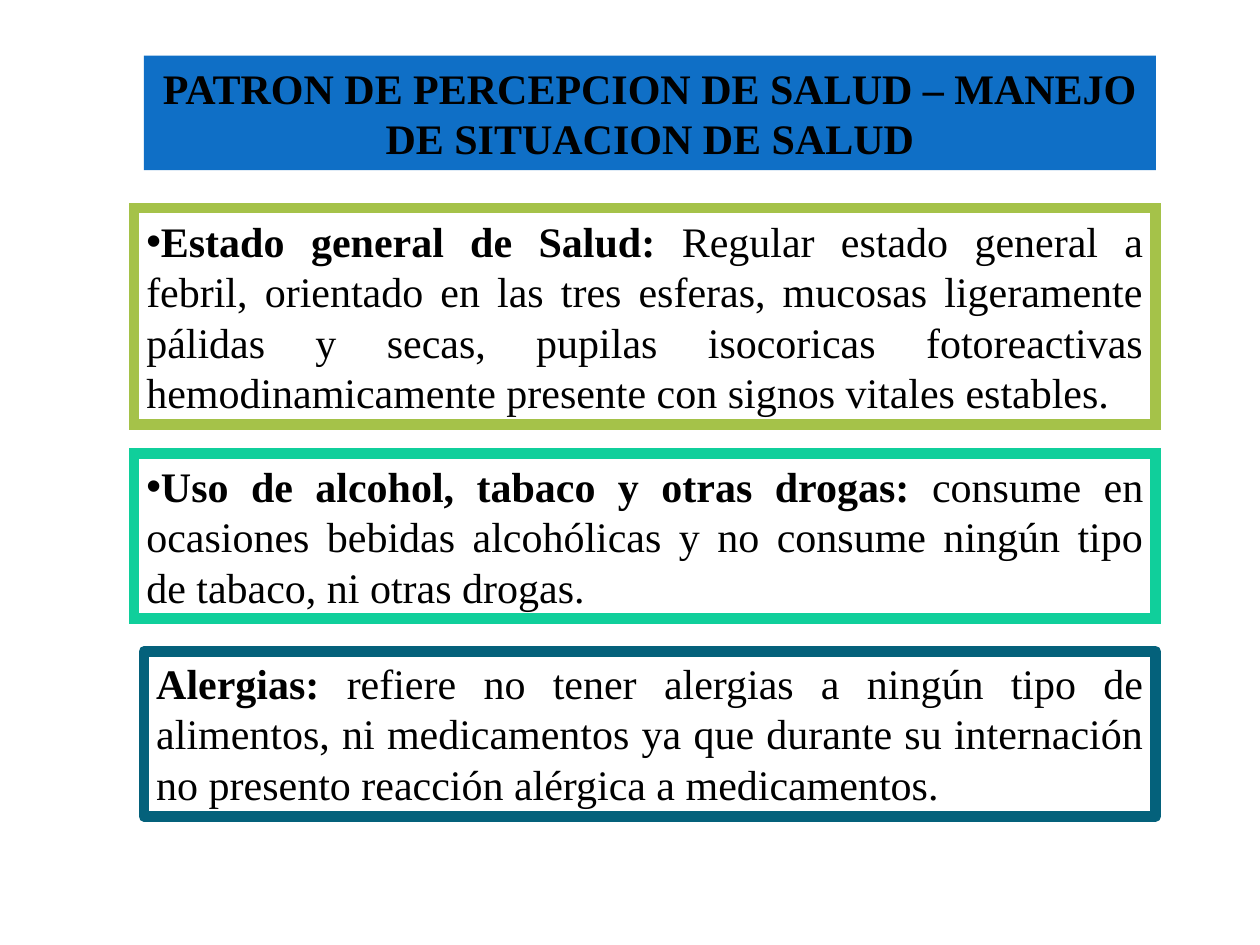
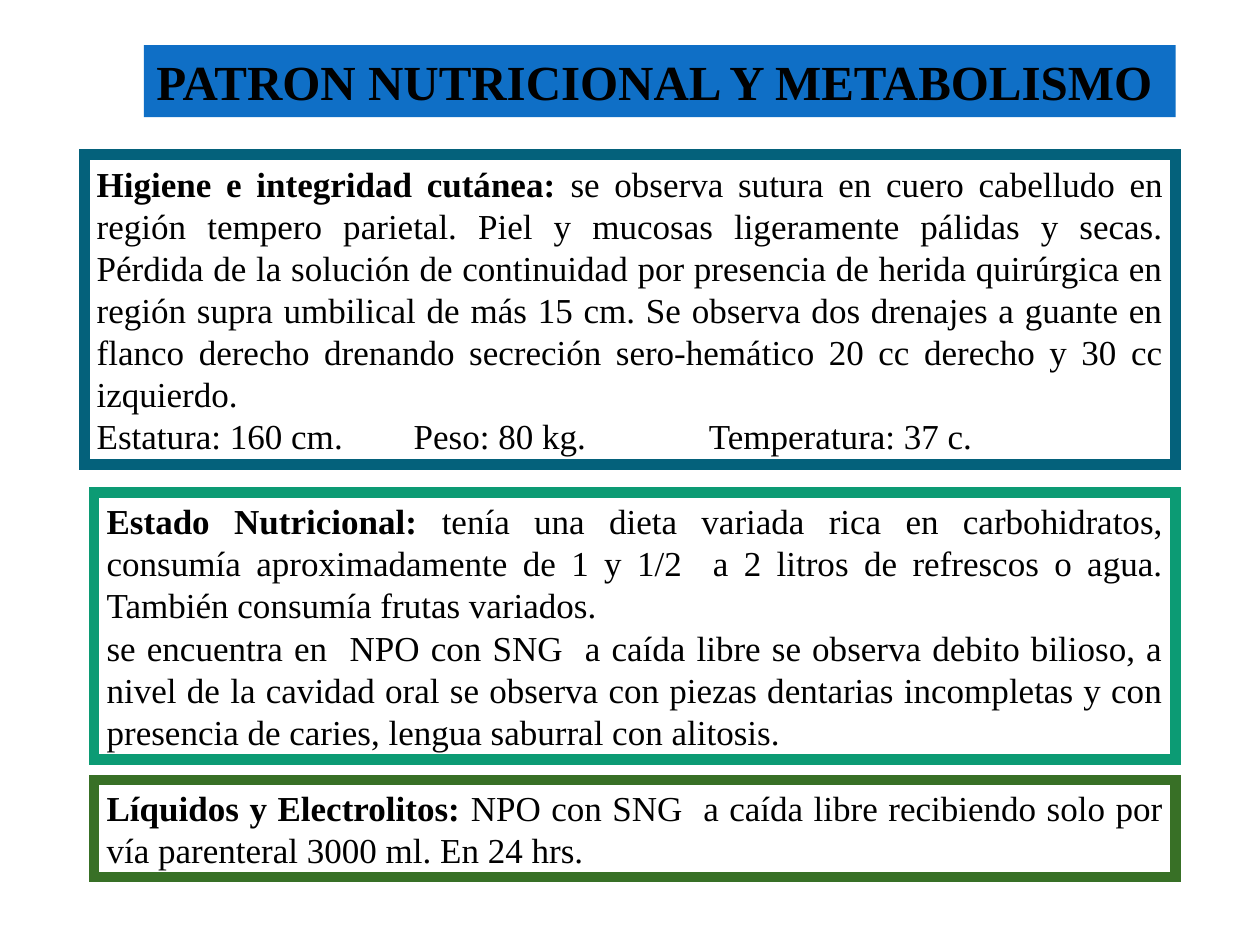
import pptx
import pptx.util
import pptx.dml.color
import pptx.enum.shapes
import pptx.enum.text
import pptx.oxml.ns
from lxml import etree

Cm = pptx.util.Cm
Pt = pptx.util.Pt
RGBColor = pptx.dml.color.RGBColor
ANCHOR = pptx.enum.text.MSO_ANCHOR
ALIGN = pptx.enum.text.PP_ALIGN

BLACK = RGBColor(0x00, 0x00, 0x00)
BLUE = RGBColor(0x0F, 0x6F, 0xC6)
LIME = RGBColor(0xA5, 0xC2, 0x49)
MINT = RGBColor(0x10, 0xCF, 0x9B)
PETROL = RGBColor(0x04, 0x61, 0x7B)
JADE = RGBColor(0x0C, 0x9B, 0x74)
FOREST = RGBColor(0x38, 0x70, 0x26)
FONT = "Times New Roman"
MEASURE_TABS = (6.39, 12.34)

patterns = [
    {
        "heading": "PATRON DE PERCEPCION DE SALUD – MANEJO DE SITUACION DE SALUD",
        "band": (2.9, 1.12, 20.4, 2.31), "heading_size": 24, "heading_align": ALIGN.CENTER,
        "right": 23.3, "size": 24,
        "findings": [
            (2.7, 4.19, 4.37, LIME, "•", "Estado general de Salud: ",
             ["Regular estado general a febril, orientado en las tres esferas, mucosas "
              "ligeramente pálidas y secas, pupilas isocoricas fotoreactivas "
              "hemodinamicamente presente con signos vitales estables."]),
            (2.7, 9.14, 3.33, MINT, "•", "Uso de alcohol, tabaco y otras drogas: ",
             ["consume en ocasiones bebidas alcohólicas y no consume ningún tipo de "
              "tabaco, ni otras drogas."]),
            (2.9, 13.13, 3.33, PETROL, "", "Alergias: ",
             ["refiere no tener alergias a ningún tipo de alimentos, ni medicamentos ya "
              "que durante su internación no presento reacción alérgica a medicamentos."]),
        ],
    },
    {
        "heading": "PATRON NUTRICIONAL Y METABOLISMO",
        "band": (2.9, 0.91, 20.8, 1.45), "heading_size": 28, "heading_align": ALIGN.LEFT,
        "right": 23.7, "size": 20,
        "findings": [
            (1.7, 3.12, 6.25, PETROL, "", "Higiene e integridad cutánea: ",
             ["se observa sutura en cuero cabelludo en región tempero parietal. Piel y "
              "mucosas ligeramente pálidas y secas. Pérdida de la solución de continuidad "
              "por presencia de herida quirúrgica en región supra umbilical de más 15 cm. "
              "Se observa dos drenajes a guante en flanco derecho drenando secreción "
              "sero-hemático 20 cc derecho y 30 cc izquierdo.",
              "Estatura: 160 cm.\tPeso: 80 kg.\tTemperatura: 37 c."]),
            (1.9, 9.93, 5.38, JADE, "", "Estado Nutricional: ",
             ["tenía una dieta variada rica en carbohidratos, consumía aproximadamente de "
              "1 y 1/2  a 2 litros de refrescos o agua. También consumía frutas variados.",
              "se encuentra en  NPO con SNG  a caída libre se observa debito bilioso, a "
              "nivel de la cavidad oral se observa con piezas dentarias incompletas y con "
              "presencia de caries, lengua saburral con alitosis."]),
            (1.9, 15.72, 1.96, FOREST, "", "Líquidos y Electrolitos: ",
             ["NPO con SNG  a caída libre recibiendo solo por vía parenteral 3000 ml. "
              "En 24 hrs."]),
        ],
    },
]


def add_element(parent, tag, **attributes):
    return etree.SubElement(parent, pptx.oxml.ns.qn(tag), attributes)


def style_paragraph(paragraph, size, align):
    paragraph.alignment = align
    paragraph.font.name = FONT
    paragraph.font.size = Pt(size)
    paragraph.font.color.rgb = BLACK


deck = pptx.Presentation()
deck.slide_width = Cm(25.4)
deck.slide_height = Cm(19.05)

for pattern in patterns:
    slide = deck.slides.add_slide(deck.slide_layouts[5])
    heading = slide.shapes.title
    heading.left, heading.top, heading.width, heading.height = map(Cm, pattern["band"])
    heading.fill.solid()
    heading.fill.fore_color.rgb = BLUE
    heading.text_frame.text = pattern["heading"]
    heading.text_frame.word_wrap = True
    heading.text_frame.auto_size = pptx.enum.text.MSO_AUTO_SIZE.NONE
    heading.text_frame.vertical_anchor = ANCHOR.MIDDLE
    heading_line = heading.text_frame.paragraphs[0]
    style_paragraph(heading_line, pattern["heading_size"], pattern["heading_align"])
    heading_line.font.bold = True

    for left, top, height, color, bullet, label, texts in pattern["findings"]:
        finding = slide.shapes.add_shape(
            pptx.enum.shapes.MSO_SHAPE.RECTANGLE,
            Cm(left), Cm(top), Cm(pattern["right"] - left), Cm(height))
        finding.shadow.inherit = False
        finding.fill.background()
        finding.line.color.rgb = color
        finding.line.width = Pt(6)
        corner = "a:round" if label == "Alergias: " else "a:miter"
        add_element(finding.line._get_or_add_ln(), corner)
        frame = finding.text_frame
        frame.word_wrap = True
        frame.vertical_anchor = ANCHOR.TOP if label == "Alergias: " else ANCHOR.MIDDLE

        for index, text in enumerate(texts):
            paragraph = frame.paragraphs[0] if index == 0 else frame.add_paragraph()
            properties = paragraph._p.get_or_add_pPr()
            if bullet:
                add_element(properties, "a:buFont", typeface="Arial")
                add_element(properties, "a:buChar", char=bullet)
            if "\t" in text:
                tabs = add_element(properties, "a:tabLst")
                for stop in MEASURE_TABS:
                    add_element(tabs, "a:tab", pos=str(Cm(stop)), algn="l")
            style_paragraph(paragraph, pattern["size"],
                            ALIGN.LEFT if "\t" in text else ALIGN.JUSTIFY)
            if index == 0:
                label_run = paragraph.add_run()
                label_run.text = label
                label_run.font.bold = True
            paragraph.add_run().text = text

deck.save("out.pptx")
